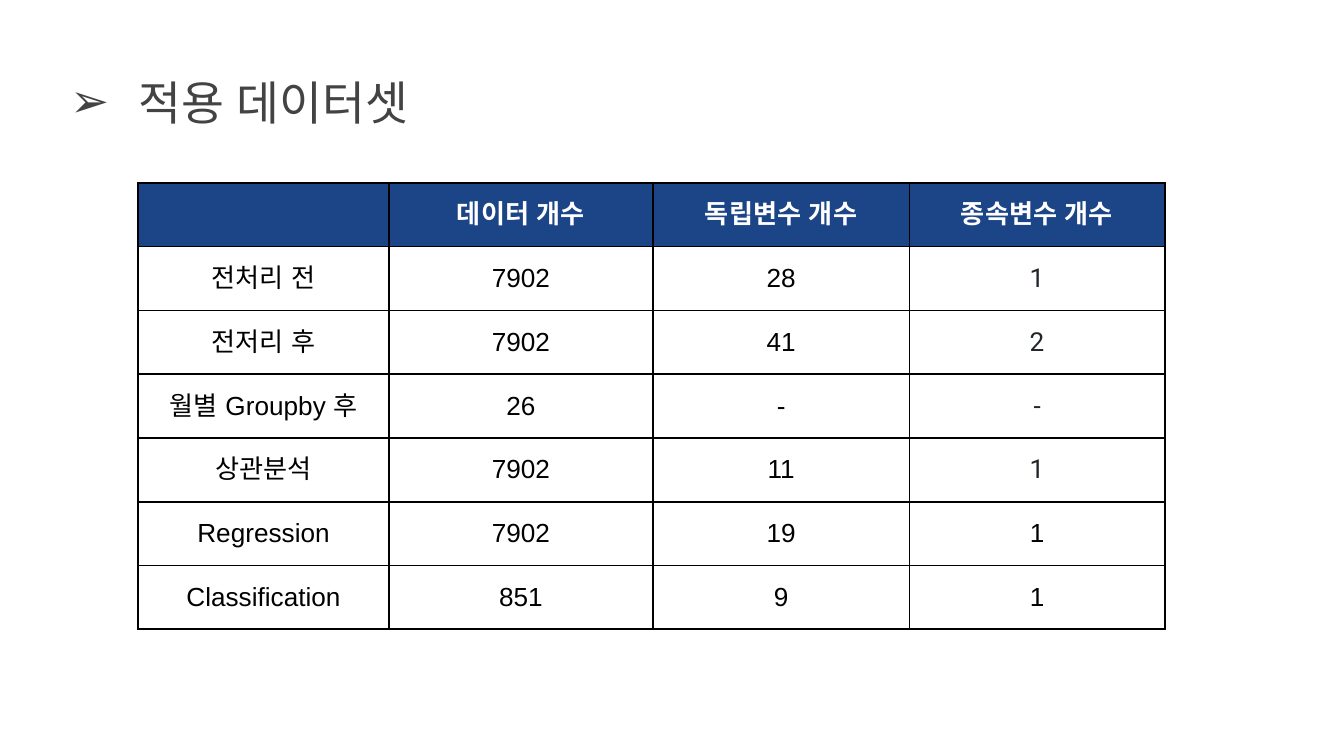
import dataclasses

import lxml.etree
import pptx
import pptx.dml.color
import pptx.enum.text
import pptx.oxml.ns
import pptx.util

Pt = pptx.util.Pt
qn = pptx.oxml.ns.qn


@dataclasses.dataclass(frozen=True)
class Theme:
    font: str = "Arial"
    accent_font: str = "Roboto"
    heading: str = "434343"
    header_fill: str = "1C4587"
    header_text: str = "FFFFFF"
    body_text: str = "000000"
    accent_text: str = "212529"
    border: str = "000000"
    heading_size: int = 25
    table_size: int = 14
    border_width: int = 1


THEME = Theme()

HEADER = ["", "데이터 개수", "독립변수 개수", "종속변수 개수"]
DATASETS = [
    ["전처리 전", "7902", "28", "1"],
    ["전저리 후", "7902", "41", "2"],
    ["월별 Groupby 후", "26", "-", "-"],
    ["상관분석", "7902", "11", "1"],
    ["Regression", "7902", "19", "1"],
    ["Classification", "851", "9", "1"],
]
ACCENT_ROWS = range(1, 5)
COLUMN_WIDTHS = [134.4, 141.4, 137.4, 136.8]


def style_text(paragraph, size, color, font, bold=False):
    for run in paragraph.runs:
        run.font.size = Pt(size)
        run.font.name = font
        run.font.bold = bold
        run.font.color.rgb = pptx.dml.color.RGBColor.from_string(color)
        east_asian = lxml.etree.SubElement(run.font._element, qn("a:ea"))
        east_asian.set("typeface", font)


def add_bullet(paragraph, symbol, color, margin, indent):
    properties = paragraph._p.get_or_add_pPr()
    properties.set("marL", str(Pt(margin)))
    properties.set("indent", str(Pt(indent)))
    bullet_color = lxml.etree.SubElement(properties, qn("a:buClr"))
    lxml.etree.SubElement(bullet_color, qn("a:srgbClr")).set("val", color)
    lxml.etree.SubElement(properties, qn("a:buFont")).set("typeface", THEME.font)
    lxml.etree.SubElement(properties, qn("a:buChar")).set("char", symbol)


def add_borders(cell):
    properties = cell._tc.get_or_add_tcPr()
    for position, side in enumerate(("a:lnL", "a:lnR", "a:lnT", "a:lnB")):
        border = lxml.etree.Element(qn(side), w=str(Pt(THEME.border_width)))
        fill = lxml.etree.SubElement(border, qn("a:solidFill"))
        lxml.etree.SubElement(fill, qn("a:srgbClr")).set("val", THEME.border)
        properties.insert(position, border)


def add_heading(slide, left, top, width, height):
    heading = slide.shapes.add_textbox(Pt(left), Pt(top), Pt(width), Pt(height))
    frame = heading.text_frame
    frame.word_wrap = True
    frame.margin_left = frame.margin_right = Pt(7.2)
    frame.margin_top = frame.margin_bottom = Pt(7.2)
    frame.text = "적용 데이터셋"
    title = frame.paragraphs[0]
    add_bullet(title, "➢", THEME.heading, margin=42.5, indent=-36.5)
    style_text(title, THEME.heading_size, THEME.heading, THEME.font)


def fill_cell(cell, text, row, column):
    cell.margin_left = cell.margin_right = Pt(5)
    cell.margin_top = cell.margin_bottom = Pt(5)
    cell.vertical_anchor = pptx.enum.text.MSO_ANCHOR.MIDDLE
    is_header = row == 0
    if is_header:
        cell.fill.solid()
        cell.fill.fore_color.rgb = pptx.dml.color.RGBColor.from_string(THEME.header_fill)
    else:
        cell.fill.background()
    add_borders(cell)

    color, font = THEME.body_text, THEME.font
    if is_header:
        color = THEME.header_text
    elif column == len(HEADER) - 1 and row in ACCENT_ROWS:
        color, font = THEME.accent_text, THEME.accent_font
    if text:
        cell.text_frame.text = text
    label = cell.text_frame.paragraphs[0]
    label.alignment = pptx.enum.text.PP_ALIGN.CENTER
    style_text(label, THEME.table_size, color, font, bold=is_header)


def add_dataset_table(slide, left, top, width, height):
    rows = [HEADER] + DATASETS
    table = slide.shapes.add_table(
        len(rows), len(HEADER), Pt(left), Pt(top), Pt(width), Pt(height)
    ).table
    table.horz_banding = False
    for column, share in zip(table.columns, COLUMN_WIDTHS):
        column.width = Pt(width * share / sum(COLUMN_WIDTHS))
    for row_index, values in enumerate(rows):
        table.rows[row_index].height = Pt(height / len(rows))
        for column_index, text in enumerate(values):
            fill_cell(table.cell(row_index, column_index), text, row_index, column_index)


def main():
    deck = pptx.Presentation()
    deck.slide_width, deck.slide_height = Pt(720), Pt(405)
    slide = deck.slides.add_slide(deck.slide_layouts[6])
    add_heading(slide, 24.5, 32.4, 671, 47.5)
    add_dataset_table(slide, 74, 98, 550, 239.2)
    deck.save("out.pptx")


if __name__ == "__main__":
    main()
